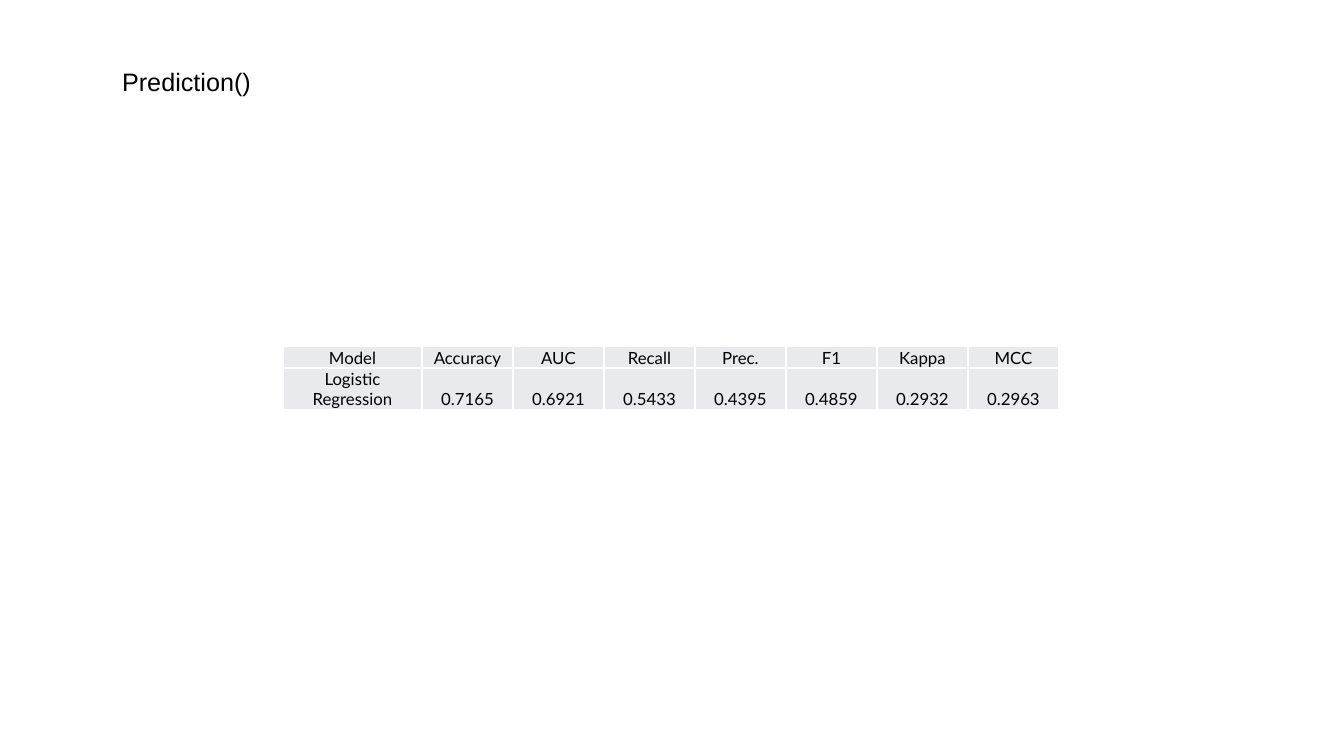
import pptx
import pptx.dml.color
import pptx.enum.text
import pptx.oxml
import pptx.oxml.ns
import pptx.util

HEADING = "Prediction()"
SCORES = [
    ("Model", "Accuracy", "AUC", "Recall", "Prec.", "F1", "Kappa", "MCC"),
    ("Logistic Regression", "0.7165", "0.6921", "0.5433", "0.4395",
     "0.4859", "0.2932", "0.2963"),
]

HEADING_BOX = (112, 61, 465, 40)
SCORES_LEFT, SCORES_TOP = 283, 346
MODEL_WIDTH, METRIC_WIDTH = 139, 91
ROW_HEIGHTS = (22, 41)
INSET = 1
BLACK, WHITE, GREY = "000000", "FFFFFF", "E8EAED"


def px(length):
    return pptx.util.Emu(round(length * 914400 / 100.8))


def color(value):
    return pptx.dml.color.RGBColor.from_string(value)


def add_text(paragraph, text, font_name, size, align):
    paragraph.alignment = align
    run = paragraph.add_run()
    run.text = text
    run.font.name = font_name
    run.font.size = pptx.util.Pt(size)
    run.font.color.rgb = color(BLACK)


def set_borders(cell, value):
    """Draw a 1 pt line on all four sides; call before filling the cell."""
    properties = cell._tc.get_or_add_tcPr()
    for side in ("lnL", "lnR", "lnT", "lnB"):
        properties.append(pptx.oxml.parse_xml(
            f'<a:{side} {pptx.oxml.ns.nsdecls("a")} w="12700"><a:solidFill>'
            f'<a:srgbClr val="{value}"/></a:solidFill></a:{side}>'))


def add_heading(slide):
    heading = slide.shapes.title
    heading.left, heading.top, heading.width, heading.height = map(px, HEADING_BOX)
    frame = heading.text_frame
    frame.word_wrap = True
    frame.auto_size = pptx.enum.text.MSO_AUTO_SIZE.SHAPE_TO_FIT_TEXT
    frame.vertical_anchor = pptx.enum.text.MSO_ANCHOR.TOP
    add_text(frame.paragraphs[0], HEADING, "Arial", 18, pptx.enum.text.PP_ALIGN.LEFT)


def add_scores(slide):
    widths = [MODEL_WIDTH] + [METRIC_WIDTH] * (len(SCORES[0]) - 1)
    scores = slide.shapes.add_table(
        len(SCORES), len(widths), px(SCORES_LEFT), px(SCORES_TOP),
        px(sum(widths)), px(sum(ROW_HEIGHTS))).table
    scores.first_row = False
    scores.horz_banding = False
    for column, width in zip(scores.columns, widths):
        column.width = px(width)
    for row, height, texts in zip(scores.rows, ROW_HEIGHTS, SCORES):
        row.height = px(height)
        for cell, text in zip(row.cells, texts):
            cell.margin_left = cell.margin_right = cell.margin_top = px(INSET)
            cell.margin_bottom = 0
            cell.vertical_anchor = pptx.enum.text.MSO_ANCHOR.BOTTOM
            set_borders(cell, WHITE)
            cell.fill.solid()
            cell.fill.fore_color.rgb = color(GREY)
            add_text(cell.text_frame.paragraphs[0], text, "Lato", 12,
                     pptx.enum.text.PP_ALIGN.CENTER)


def main():
    deck = pptx.Presentation()
    deck.slide_width, deck.slide_height = px(1344), px(756)
    slide = deck.slides.add_slide(deck.slide_layouts[5])
    add_heading(slide)
    add_scores(slide)
    deck.save("out.pptx")


if __name__ == "__main__":
    main()
